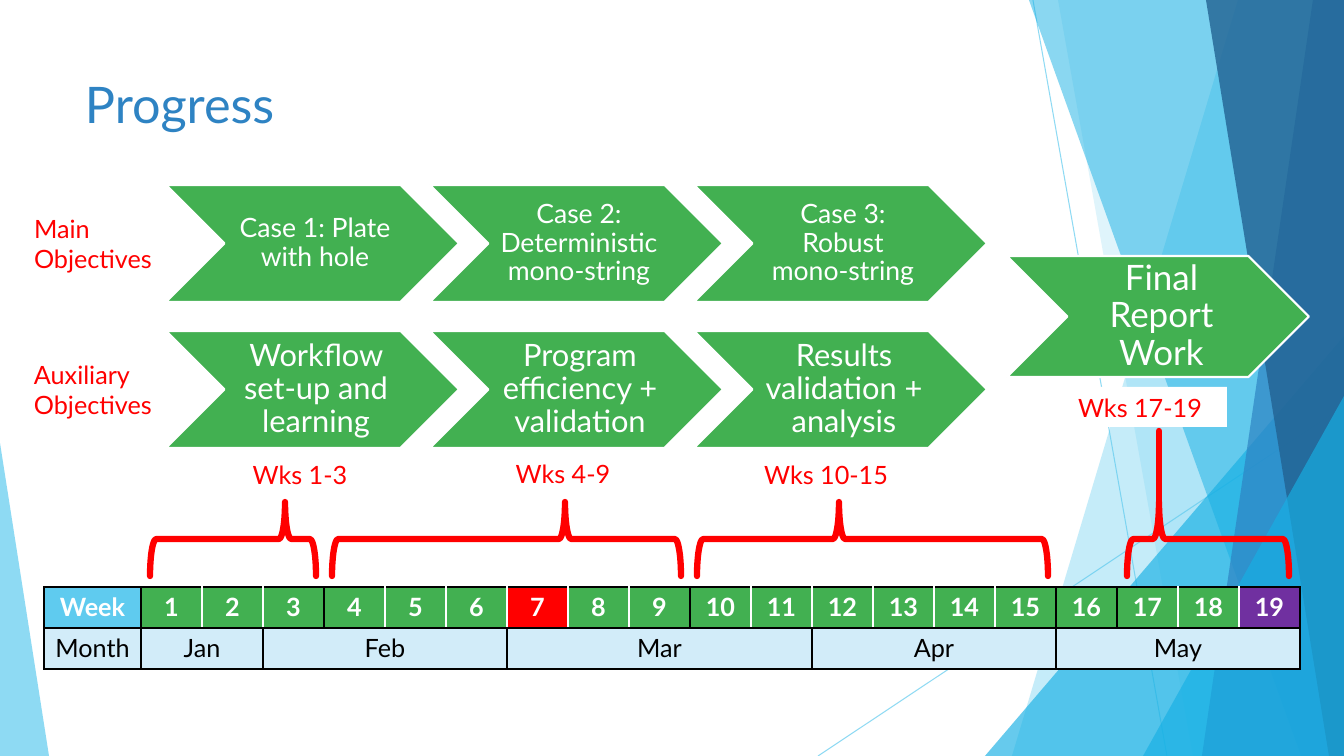
import pptx
import pptx.util
import pptx.dml.color
import pptx.enum.shapes
import pptx.enum.text
import pptx.oxml
import pptx.oxml.ns
import lxml.etree

EMU_PER_PX = 914400 / 100.8
SHAPES = pptx.enum.shapes.MSO_SHAPE
CENTER = pptx.enum.text.PP_ALIGN.CENTER
LEFT = pptx.enum.text.PP_ALIGN.LEFT
MIDDLE = pptx.enum.text.MSO_ANCHOR.MIDDLE
TOP = pptx.enum.text.MSO_ANCHOR.TOP
COLORS = {
    "white": "FFFFFF", "black": "000000", "red": "FF0000", "green": "42B051",
    "purple": "7030A0", "sky": "5FCBEF", "cyan": "17B0E4", "blue": "2E83C3",
    "navy": "226292", "pale": "D2ECF9",
}
WEEKS = 19
WEEK_FILLS = {7: "red", 19: "purple"}
PHASE_ENDS = {0, 3, 9, 15, 16, 19}
MONTHS = [("Jan", 2), ("Feb", 4), ("Mar", 5), ("Apr", 4), ("May", 4)]
MAIN_CASES = ["Case 1: Plate with hole", "Case 2: Deterministic mono-string",
              "Case 3: Robust\vmono-string"]
AUXILIARY_STEPS = ["Workflow set-up and learning", "Program efficiency + validation",
                   "Results validation + analysis"]


def px(*lengths):
    """Turn pixel lengths into a list of EMU."""
    return [pptx.util.Emu(round(length * EMU_PER_PX)) for length in lengths]


def rgb(color):
    """Look up a named colour."""
    return pptx.dml.color.RGBColor.from_string(COLORS[color])


def set_values(target, values):
    """Set every attribute named in the dict."""
    for name, value in values.items():
        setattr(target, name, value)


def paint(fill, color, opacity=100):
    """Give a fill a solid colour with an optional opacity."""
    fill.solid()
    fill.fore_color.rgb = rgb(color)
    if opacity < 100:
        hue = fill._xPr.find(".//" + pptx.oxml.ns.qn("a:srgbClr"))
        lxml.etree.SubElement(hue, pptx.oxml.ns.qn("a:alpha"), val=str(opacity * 1000))


def stroke(item, color, width, opacity=100, cap="flat"):
    """Give a shape or connector a solid outline."""
    item.line.width = pptx.util.Pt(width)
    paint(item.line.fill, color, opacity)
    item.line._get_or_add_ln().set("cap", cap)


def write(frame, wording, size, color, align=LEFT, bold=False, spacing=1.0,
          anchor=TOP, insets=(10, 5, 10, 5)):
    """Fill a text frame with one formatted paragraph."""
    left, top, right, bottom = px(*insets)
    set_values(frame, {"word_wrap": True, "vertical_anchor": anchor,
                       "margin_left": left, "margin_top": top,
                       "margin_right": right, "margin_bottom": bottom})
    paragraph = frame.paragraphs[0]
    paragraph.text = wording
    set_values(paragraph, {"alignment": align, "line_spacing": spacing})
    for run in paragraph.runs:
        set_values(run.font, {"name": "Lato", "size": pptx.util.Pt(size), "bold": bold})
        run.font.color.rgb = rgb(color)


def add_line(slide, start, end, color, width, opacity=100, cap="flat"):
    """Draw a straight line without shadow."""
    line = slide.shapes.add_connector(
        pptx.enum.shapes.MSO_CONNECTOR.STRAIGHT, *px(*start, *end))
    stroke(line, color, width, opacity, cap)
    lxml.etree.SubElement(line._element.spPr, pptx.oxml.ns.qn("a:effectLst"))


def add_label(slide, box, wording, size=18, color="red", align=LEFT, fill=None):
    """Place a text box, optionally on a filled ground."""
    label = slide.shapes.add_textbox(*px(*box))
    write(label.text_frame, wording, size, color, align)
    if fill:
        paint(label.fill, fill)


def add_backdrop(slide, box):
    """Draw the translucent facets at the edges of the box."""
    left, top, width, height = box
    right, bottom = left + width, top + height
    add_line(slide, (left + 1033, top), (left + 1167, bottom), "sky", 0.75, 70)
    add_line(slide, (right, top + 406), (left + 818, bottom), "sky", 0.75, 70)
    facets = [
        ("band", 1238, 1012, "sky", 36), ("band", 1058, 1193, "sky", 20),
        ("right", 359, 420, "cyan", 66), ("band", 1029, 1301, "cyan", 50),
        ("band", 1313, 1202, "blue", 70), ("band", 1206, 1329, "navy", 80),
        ("right", 201, 360, "cyan", 66), ("left", 49, 313, "sky", 70),
    ]
    for kind, first, second, color, opacity in facets:
        if kind == "band":
            outline = slide.shapes.build_freeform(left + first, top, scale=EMU_PER_PX)
            outline.add_line_segments(
                [(right, top), (right, bottom), (left + second, bottom)], close=True)
            facet = outline.convert_to_shape()
        else:
            facet_left = right - first if kind == "right" else left
            facet = slide.shapes.add_shape(
                SHAPES.ISOSCELES_TRIANGLE, *px(facet_left, bottom - second, first, second))
            facet.adjustments[0] = 1 if kind == "right" else 0
        facet.shadow.inherit = False
        paint(facet.fill, color, opacity)
        facet.line.fill.background()


def add_chevron(slide, box, wording, size, insets):
    """Draw one green chevron with its wording."""
    chevron = slide.shapes.add_shape(SHAPES.CHEVRON, *px(*box))
    chevron.shadow.inherit = False
    paint(chevron.fill, "green")
    stroke(chevron, "white", 1.5)
    write(chevron.text_frame, wording, size, "white", CENTER, spacing=0.9,
          anchor=MIDDLE, insets=insets)


def add_objectives(slide, box, heading, heading_width, fill, steps, size, inset):
    """Place a heading and its row of chevrons in the box."""
    left, top, width, height = box
    pitch, chevron_width = 264, 293
    first = left + width - chevron_width - pitch * (len(steps) - 1)
    for position, step in enumerate(steps):
        add_chevron(slide, (first + position * pitch, top, chevron_width, height),
                    step, size, (inset, 3, 3, 3))
    add_label(slide, (left, top + 23, heading_width, 72), heading, fill=fill)


def add_phase(slide, box, tip, wording, label_left, label_top):
    """Draw an upward brace in the box and the label of its weeks."""
    left, top, width, height = box
    center_x, center_y = left + width / 2, top + height / 2
    add_label(slide, (label_left, label_top, 174, 40), wording, align=CENTER, fill="white")
    brace = slide.shapes.add_shape(
        SHAPES.LEFT_BRACE,
        *px(center_x - height / 2, center_y - width / 2, height, width))
    brace.rotation = 90
    brace.adjustments[1] = (left + width - tip) / width
    brace.shadow.inherit = False
    brace.fill.background()
    stroke(brace, "red", 4.5, cap="rnd")


def format_cell(cell, wording, color, fill, bold, sides):
    """Write a calendar cell with its fill and side borders."""
    write(cell.text_frame, wording, 18, color, CENTER, bold)
    properties = cell._tc.get_or_add_tcPr()
    borders = {"lnL": sides[0], "lnR": sides[1], "lnT": "black", "lnB": "black"}
    for tag, border_color in borders.items():
        properties.append(pptx.oxml.parse_xml(
            f'<a:{tag} {pptx.oxml.ns.nsdecls("a")} w="12700"><a:solidFill>'
            f'<a:srgbClr val="{COLORS[border_color]}"/></a:solidFill></a:{tag}>'))
    paint(cell.fill, fill)


def add_calendar(slide, box):
    """Build the table of weeks and months in the box."""
    calendar = slide.shapes.add_table(2, WEEKS + 1, *px(*box)).table
    week_width = 61
    calendar.columns[0].width = px(box[2] - WEEKS * week_width)[0]
    for week in range(1, WEEKS + 1):
        calendar.columns[week].width = px(week_width)[0]
    for row in calendar.rows:
        row.height = px(box[3] // 2)[0]
    outlined = ("black", "black")
    format_cell(calendar.cell(0, 0), "Week", "white", "sky", True, outlined)
    format_cell(calendar.cell(1, 0), "Month", "black", "pale", False, outlined)
    for week in range(1, WEEKS + 1):
        sides = ["black" if edge in PHASE_ENDS else "white" for edge in (week - 1, week)]
        format_cell(calendar.cell(0, week), str(week), "white",
                    WEEK_FILLS.get(week, "green"), True, sides)
        format_cell(calendar.cell(1, week), "", "black", "pale", False, outlined)
    start = 1
    for month, span in MONTHS:
        month_cell = calendar.cell(1, start)
        month_cell.merge(calendar.cell(1, start + span - 1))
        write(month_cell.text_frame, month, 18, "black", CENTER)
        start += span


def main():
    """Build the progress slide and save it."""
    deck = pptx.Presentation()
    width, height = px(1344, 756)
    set_values(deck, {"slide_width": width, "slide_height": height})
    slide = deck.slides.add_slide(deck.slide_layouts[6])
    add_backdrop(slide, (0, 0, 1344, 756))
    add_label(slide, (75, 68, 948, 145), "Progress", 36, "blue")
    add_objectives(slide, (24, 185, 963, 117), "Main Objectives", 174, None,
                   MAIN_CASES, 19, 8)
    add_objectives(slide, (24, 331, 963, 117), "Auxiliary Objectives", 142, "white",
                   AUXILIARY_STEPS, 22, 10)
    add_chevron(slide, (1007, 256, 302, 121), "Final Report Work", 25, (11, 4, 4, 4))
    add_calendar(slide, (44, 587, 1256, 82))
    phases = [
        (150, 166, 285, "Wks 1-3", 213, 454), (332, 349, 565, "Wks 4-9", 476, 453),
        (697, 351, 839, "Wks 10-15", 739, 454), (1127, 162, 1159, "Wks 17-19", 1053, 387),
    ]
    for left, span, tip, wording, label_left, label_top in phases:
        add_phase(slide, (left, 502, span, 74), tip, wording, label_left, label_top)
    add_line(slide, (1159, 502), (1159, 431), "red", 4.5, cap="rnd")
    deck.save("out.pptx")


if __name__ == "__main__":
    main()
